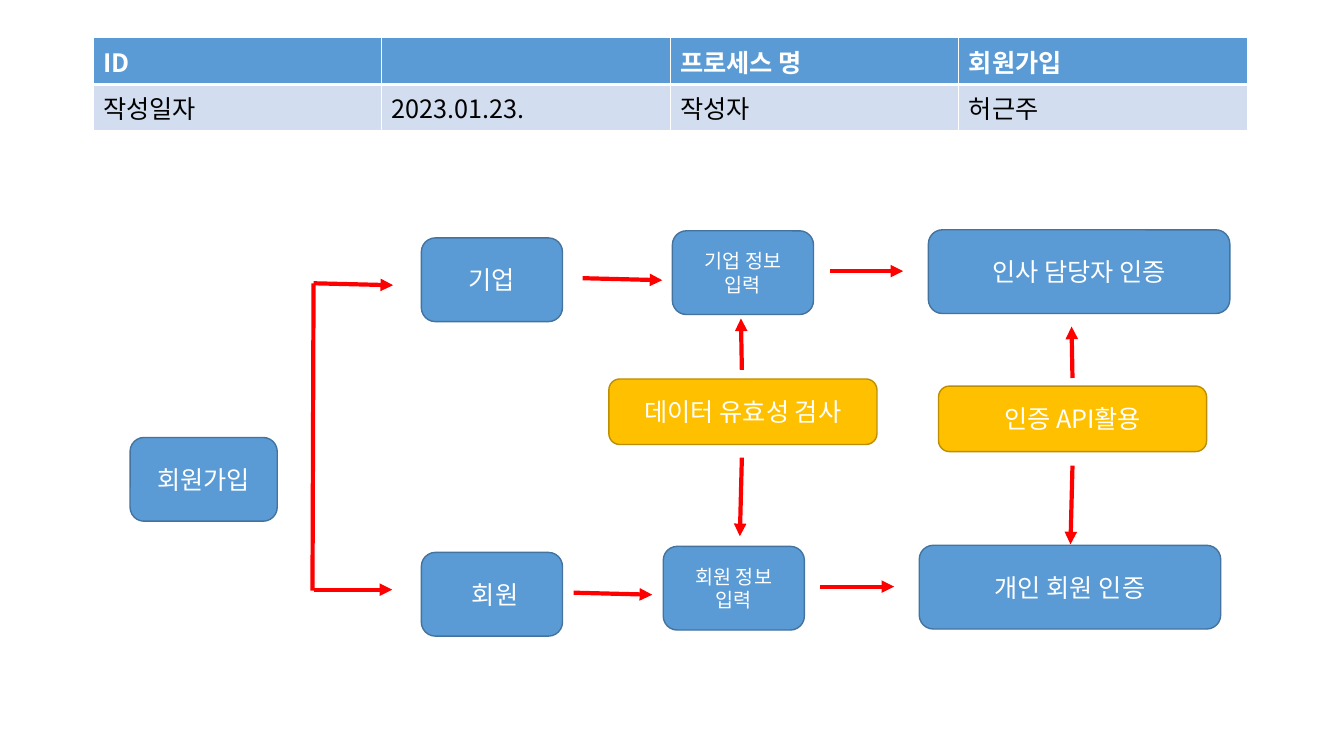
import pptx
import pptx.dml.color
import pptx.enum.shapes
import pptx.enum.text
import pptx.oxml
import pptx.oxml.ns
import pptx.util

RGB = pptx.dml.color.RGBColor
BLUE = RGB(0x5B, 0x9B, 0xD5)
BLUE_EDGE = RGB(0x43, 0x73, 0x9E)
PALE_BLUE = RGB(0xD2, 0xDE, 0xEF)
AMBER = RGB(0xFF, 0xC0, 0x00)
AMBER_EDGE = RGB(0xBD, 0x8E, 0x00)
RED = RGB(0xFF, 0x00, 0x00)
WHITE = RGB(0xFF, 0xFF, 0xFF)
BLACK = RGB(0x00, 0x00, 0x00)
FONT = "Noto Sans CJK KR"


class FlowSlide:
    """Places elements on a grid of 100 columns by 100 rows."""

    def __init__(self, deck):
        self.column = deck.slide_width / 100
        self.row = deck.slide_height / 100
        self.slide = deck.slides.add_slide(deck.slide_layouts[6])

    def x(self, columns):
        return round(columns * self.column)

    def y(self, rows):
        return round(rows * self.row)

    def add_wording(self, paragraph, wording, size=18, color=WHITE, bold=False):
        run = paragraph.add_run()
        run.text = wording
        style = {"name": FONT, "size": pptx.util.Pt(size), "bold": bold}
        for key, value in style.items():
            setattr(run.font, key, value)
        run.font.color.rgb = color
        properties = run._r.get_or_add_rPr()
        properties.append(properties.makeelement(
            pptx.oxml.ns.qn("a:ea"), {"typeface": FONT}))

    def step(self, wording, left, top, width, height, size=18,
             fill=BLUE, edge=BLUE_EDGE, inset=0.1):
        box = self.slide.shapes.add_shape(
            pptx.enum.shapes.MSO_SHAPE.ROUNDED_RECTANGLE,
            self.x(left), self.y(top), self.x(width), self.y(height))
        box.shadow.inherit = False
        box.fill.solid()
        box.fill.fore_color.rgb = fill
        box.line.color.rgb = edge
        box.line.width = pptx.util.Pt(1)
        frame = box.text_frame
        layout = {"word_wrap": True, "margin_left": pptx.util.Inches(inset),
                  "vertical_anchor": pptx.enum.text.MSO_ANCHOR.MIDDLE}
        for key, value in layout.items():
            setattr(frame, key, value)
        frame.paragraphs[0].alignment = pptx.enum.text.PP_ALIGN.CENTER
        self.add_wording(frame.paragraphs[0], wording, size)

    def flow(self, x1, y1, x2, y2, arrow=True):
        link = self.slide.shapes.add_connector(
            pptx.enum.shapes.MSO_CONNECTOR.STRAIGHT,
            self.x(x1), self.y(y1), self.x(x2), self.y(y2))
        link.line.color.rgb = RED
        link.line.width = pptx.util.Pt(3)
        properties = link._element.spPr
        if arrow:
            line = properties.find(pptx.oxml.ns.qn("a:ln"))
            line.append(line.makeelement(
                pptx.oxml.ns.qn("a:tailEnd"), {"type": "triangle"}))
        properties.append(
            properties.makeelement(pptx.oxml.ns.qn("a:effectLst")))

    def border(self, cell, bottom):
        namespace = pptx.oxml.ns.nsdecls("a")
        for side, points in (("L", 1), ("R", 1), ("T", 1), ("B", bottom)):
            cell._tc.get_or_add_tcPr().append(pptx.oxml.parse_xml(
                f'<a:ln{side} {namespace} w="{points * 12700}"><a:solidFill>'
                f'<a:srgbClr val="{WHITE}"/></a:solidFill></a:ln{side}>'))

    def info_table(self, rows, left, top, width, heights):
        table = self.slide.shapes.add_table(
            len(rows), len(rows[0]), self.x(left), self.y(top),
            self.x(width), self.y(sum(heights))).table
        for column in table.columns:
            column.width = self.x(width / len(rows[0]))
        for r, (labels, height) in enumerate(zip(rows, heights)):
            header = r == 0
            table.rows[r].height = self.y(height)
            for c, label in enumerate(labels):
                cell = table.cell(r, c)
                self.border(cell, 3 if header else 1)
                cell.fill.solid()
                cell.fill.fore_color.rgb = BLUE if header else PALE_BLUE
                if label:
                    self.add_wording(
                        cell.text_frame.paragraphs[0], label,
                        color=WHITE if header else BLACK, bold=header)


def main():
    deck = pptx.Presentation()
    deck.slide_width = pptx.util.Inches(13.33)
    deck.slide_height = pptx.util.Inches(7.5)
    page = FlowSlide(deck)

    # Process details
    page.info_table([["ID", "", "프로세스 명", "회원가입"],
                     ["작성일자", "2023.01.23.", "작성자", "허근주"]],
                    6.92, 5, 85.9, (5.73, 5.47))

    # Sign-up splits into company and member
    step_height = 11.07
    page.step("회원가입", 9.68, 57.87, 10.95, step_height)
    page.flow(23.4, 78, 29.18, 78)
    page.flow(23.33, 37.47, 29.25, 37.73)
    page.flow(23.33, 37.47, 23.25, 78.13, arrow=False)

    # Steps of each branch
    for wording, left, top, width, size, inset in (
            ("기업", 31.35, 31.47, 10.5, 18, 0.1),
            ("회원", 31.35, 73.07, 10.5, 18, 0.16),
            ("기업 정보 입력", 50.03, 30.53, 10.5, 14, 0.1),
            ("회원 정보 입력", 49.35, 72.27, 10.5, 14, 0.1),
            ("인사 담당자 인증", 69.08, 30.4, 22.43, 18, 0.1),
            ("개인 회원 인증", 68.4, 72.13, 22.43, 18, 0.1)):
        page.step(wording, left, top, width, step_height, size, inset=inset)

    # Checks shared by both branches
    for wording, left, top in (("데이터 유효성 검사", 45.3, 50.13),
                               ("인증 API활용", 69.83, 51.07)):
        page.step(wording, left, top, 19.95, 8.67, fill=AMBER, edge=AMBER_EDGE)

    # Arrows along the branches, then from the checks
    for ends in ((43.35, 36.8, 49.28, 37.07), (61.73, 35.87, 67.2, 35.87),
                 (42.68, 78.4, 48.53, 78.67), (61.05, 77.6, 66.53, 77.6),
                 (55.2, 48.93, 55.13, 42.13), (55.2, 60.53, 55.05, 70.93),
                 (79.8, 50, 79.73, 43.2), (79.8, 61.6, 79.65, 72)):
        page.flow(*ends)

    deck.save("out.pptx")


if __name__ == "__main__":
    main()
